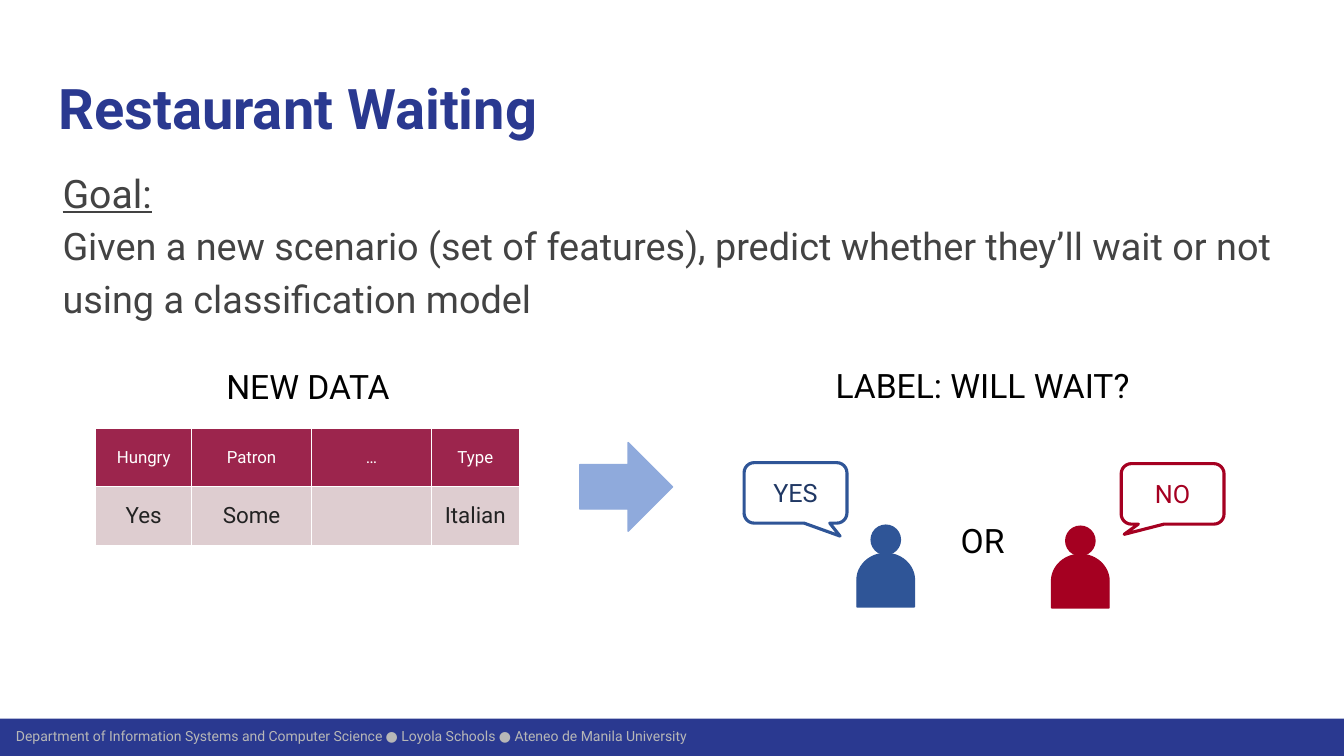
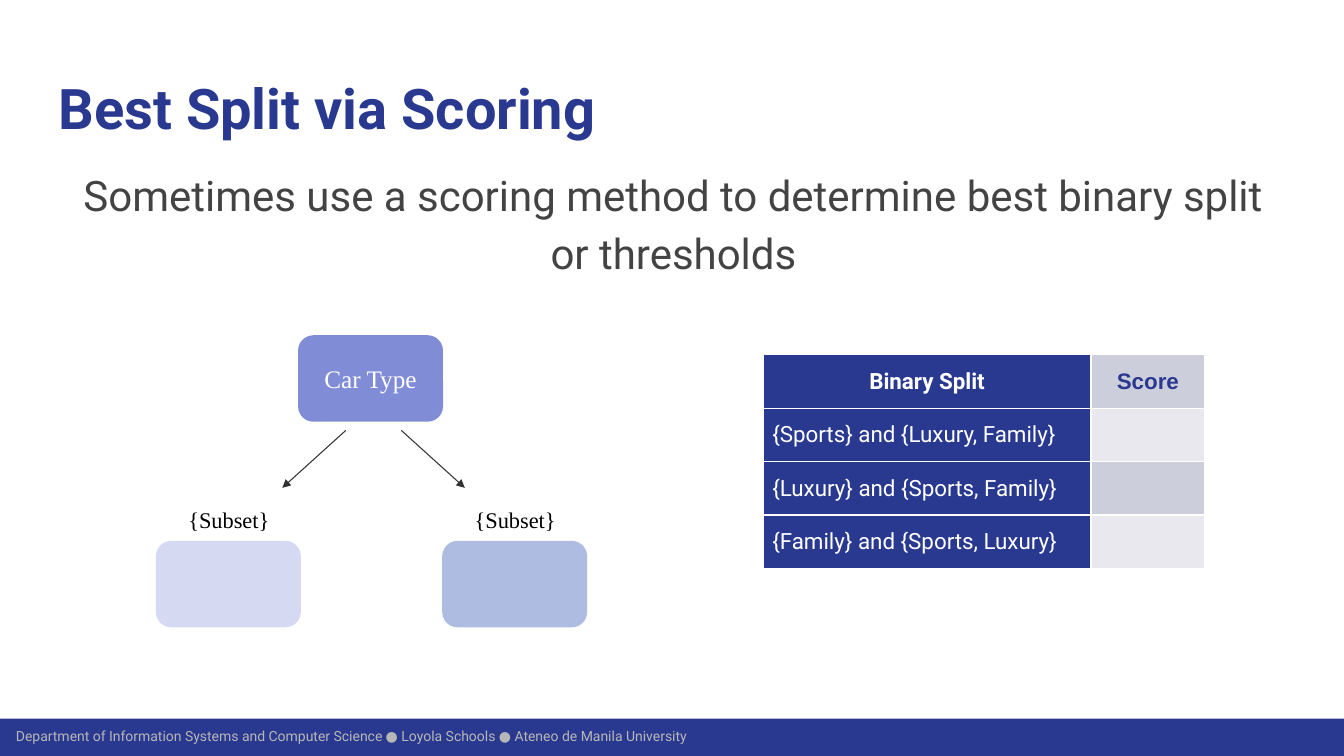
from dataclasses import dataclass
from typing import Any

from lxml import etree
from pptx import Presentation, util as u
from pptx.dml.color import RGBColor
from pptx.enum import shapes, text
from pptx.oxml import ns

NAVY = RGBColor(0x2A, 0x39, 0x90)
GREY = RGBColor(0x43, 0x43, 0x43)
SILVER = RGBColor(0xB7, 0xB7, 0xB7)
BLACK = RGBColor(0, 0, 0)
WHITE = RGBColor(0xFF, 0xFF, 0xFF)
WINE = RGBColor(0x9C, 0x25, 0x4D)
ROSE = RGBColor(0xDE, 0xCD, 0xD0)
INK = RGBColor(0x22, 0x22, 0x22)
SKY = RGBColor(0x8F, 0xAA, 0xDC)
BLUE = RGBColor(0x2F, 0x55, 0x97)
DEEP = RGBColor(0x20, 0x38, 0x64)
RED = RGBColor(0xA5, 0x00, 0x21)
IRIS = RGBColor(0x80, 0x8C, 0xD5)
LILAC = RGBColor(0xD5, 0xD9, 0xF1)
HAZE = RGBColor(0xAE, 0xBC, 0xE1)
COAL = RGBColor(0x32, 0x32, 0x32)
STONE = RGBColor(0xCD, 0xCE, 0xDB)
PALE = RGBColor(0xE8, 0xE8, 0xEE)

SANS, SERIF, PLAIN = "Roboto", "Times New Roman", "Arial"
FORM = shapes.MSO_SHAPE
LEFT, MID = text.PP_ALIGN.LEFT, text.PP_ALIGN.CENTER
TOP, HALF = text.MSO_ANCHOR.TOP, text.MSO_ANCHOR.MIDDLE
Box = tuple[float, float, float, float]


@dataclass
class Line:
    text: str
    size: float
    color: RGBColor
    face: str = SANS
    bold: bool = False
    under: bool = False
    align: Any = MID


@dataclass
class Cell:
    fill: RGBColor
    line: Line | None = None


@dataclass
class Guest:
    word: str
    ink: RGBColor
    color: RGBColor
    head: tuple[float, float]
    call: tuple[float, float]
    tip: tuple[float, float]


@dataclass
class Node:
    box: Box
    fill: RGBColor
    word: str = ""


def apply(thing: Any, vals: dict[str, Any]) -> None:
    for name, val in vals.items():
        setattr(thing, name, val)


def place(box: Box) -> tuple[u.Length, ...]:
    return tuple(u.Inches(n) for n in box)


def pad(thing: Any, side: float, edge: float) -> None:
    apply(thing, {"margin_left": u.Inches(side), "margin_right": u.Inches(side),
                  "margin_top": u.Inches(edge), "margin_bottom": u.Inches(edge)})


def write(frame: Any, lines: list[Line]) -> None:
    for num, line in enumerate(lines):
        para = frame.add_paragraph() if num else frame.paragraphs[0]
        para.alignment = line.align
        run = para.add_run()
        run.text = line.text
        apply(run.font, {"name": line.face, "size": u.Pt(line.size),
                         "bold": line.bold, "underline": line.under})
        run.font.color.rgb = line.color


def label(slide: Any, box: Box, line: Line, anchor: Any = TOP) -> Any:
    frame = slide.shapes.add_textbox(*place(box)).text_frame
    apply(frame, {"word_wrap": True, "vertical_anchor": anchor})
    write(frame, [line])
    return frame


def draw(home: Any, form: Any, box: Box, line: RGBColor, width: float = 1,
         fill: RGBColor | None = None) -> Any:
    shape = home.shapes.add_shape(form, *place(box))
    shape.shadow.inherit = False
    if fill is None:
        shape.fill.background()
    else:
        shape.fill.solid()
        shape.fill.fore_color.rgb = fill
    shape.line.color.rgb = line
    shape.line.width = u.Pt(width)
    return shape


def arrow(slide: Any, start: tuple[float, float], end: tuple[float, float]) -> None:
    link = slide.shapes.add_connector(shapes.MSO_CONNECTOR.STRAIGHT, *place(start + end))
    link.line.color.rgb = COAL
    link.line.width = u.Pt(0.75)
    props = link.element.spPr
    etree.SubElement(props.get_or_add_ln(), ns.qn("a:tailEnd"), type="triangle")
    etree.SubElement(props, ns.qn("a:effectLst"))


def rule(cell: Any) -> None:
    props = cell._tc.get_or_add_tcPr()
    for side in ("lnL", "lnR", "lnT", "lnB"):
        edge = etree.SubElement(props, ns.qn(f"a:{side}"), w=str(u.Pt(1)))
        fill = etree.SubElement(edge, ns.qn("a:solidFill"))
        etree.SubElement(fill, ns.qn("a:srgbClr"), val=str(WHITE))


def grid(slide: Any, spot: tuple[float, float], cols: list[float], tall: float,
         rows: list[list[Cell]]) -> None:
    box = (*spot, sum(cols), tall * len(rows))
    table = slide.shapes.add_table(len(rows), len(cols), *place(box)).table
    for col, wide in zip(table.columns, cols):
        col.width = u.Inches(wide)
    for y, row in enumerate(rows):
        table.rows[y].height = u.Inches(tall)
        for x, item in enumerate(row):
            cell = table.cell(y, x)
            rule(cell)
            cell.fill.solid()
            cell.fill.fore_color.rgb = item.fill
            cell.vertical_anchor = HALF
            pad(cell, 0.09, 0.04)
            if item.line:
                write(cell.text_frame, [item.line])


def setup(deck: Any) -> Any:
    layout = deck.slide_layouts[1]
    for holder, box in zip(layout.placeholders, ((0.45, 0.6, 12.42, 0.89),
                                                 (0.45, 1.48, 12.42, 1.47))):
        names = ("left", "top", "width", "height")
        apply(holder, dict(zip(names, place(box))))
    return layout


def brand(slide: Any, layout: Any) -> None:
    band = draw(slide, FORM.RECTANGLE, (0, 7.13, 13.33, 0.37), NAVY, fill=NAVY)
    band.line.fill.background()
    frame = label(slide, (0.06, 7.18, 10, 0.24), Line(
        "Department of Information Systems and Computer Science ● Loyola Schools "
        "● Ateneo de Manila University", 10, SILVER, align=LEFT), HALF)
    pad(frame, 0.1, 0.1)
    for shape in list(slide.shapes)[-2:]:
        layout.shapes.element.append(shape.element)


def begin(deck: Any, layout: Any, title: str, body: list[Line]) -> Any:
    slide = deck.slides.add_slide(layout)
    heads = [Line(title, 40, NAVY, bold=True, align=LEFT)]
    for holder, lines in zip(slide.placeholders, (heads, body)):
        frame = holder.text_frame
        apply(frame, {"word_wrap": True, "vertical_anchor": TOP,
                      "auto_size": text.MSO_AUTO_SIZE.NONE})
        pad(frame, 0.13, 0.13)
        write(frame, lines)
    for para in slide.placeholders[1].text_frame.paragraphs:
        props = para._p.get_or_add_pPr()
        props.set("marL", str(u.Inches(0.04)))
        props.set("indent", "0")
        etree.SubElement(props, ns.qn("a:buNone"))
        apply(para, {"line_spacing": 1.15, "space_before": u.Pt(0)})
    return slide


def seat(slide: Any, guest: Guest) -> None:
    x, y = guest.head
    group = slide.shapes.add_group_shape()
    draw(group, FORM.FLOWCHART_CONNECTOR, (x, y, 0.29, 0.29), guest.color, fill=guest.color)
    trunk = draw(group, FORM.FLOWCHART_DELAY, (x - 0.12, y + 0.26, 0.53, 0.57),
                 guest.color, fill=guest.color)
    trunk.rotation = 270
    call = draw(slide, FORM.ROUNDED_RECTANGULAR_CALLOUT, (*guest.call, 1.02, 0.6),
                guest.color, 2.25)
    for num, val in enumerate((*guest.tip, 0.167)):
        call.adjustments[num] = val
    call.text_frame.vertical_anchor = HALF
    write(call.text_frame, [Line(guest.word, 18, guest.ink)])


def waiting(deck: Any, layout: Any) -> Any:
    slide = begin(deck, layout, "Restaurant Waiting", [
        Line("Goal:", 28, GREY, under=True, align=LEFT),
        Line("Given a new scenario (set of features), predict whether they’ll wait or not",
             27, GREY, align=LEFT),
        Line("using a classification model", 27, GREY, align=LEFT)])
    heads = [Cell(WINE, Line(word, 12, WHITE)) for word in ("Hungry", "Patron", "…", "Type")]
    vals = [Cell(ROSE, Line(word, 16, INK) if word else None)
            for word in ("Yes", "Some", "", "Italian")]
    grid(slide, (0.95, 4.25), [0.95, 1.19, 1.19, 0.87], 0.58, [heads, vals])
    for word, box in (("NEW DATA", (0.95, 3.58, 4.21, 0.5)),
                      ("LABEL: WILL WAIT?", (7.64, 3.57, 4.21, 0.5)),
                      ("OR", (9.2, 5.11, 1.09, 0.5))):
        label(slide, box, Line(word, 24, BLACK))
    draw(slide, FORM.RIGHT_ARROW, (5.75, 4.39, 0.92, 0.88), SKY, fill=SKY)
    for guest in (Guest("YES", DEEP, BLUE, (8.64, 5.21), (7.38, 4.59), (0.433, 0.714)),
                  Guest("NO", RED, RED, (10.57, 5.22), (11.12, 4.6), (-0.471, 0.669))):
        seat(slide, guest)
    return slide


def scoring(deck: Any, layout: Any) -> None:
    slide = begin(deck, layout, "Best Split via Scoring", [
        Line("Sometimes use a scoring method to determine best binary split or thresholds",
             30, GREY)])
    wide, tall = 1.41, 0.83
    for node in (Node((2.97, 3.34, wide, tall), IRIS, "Car Type"),
                 Node((1.56, 5.38, wide, tall), LILAC),
                 Node((4.4, 5.38, wide, tall), HAZE)):
        shape = draw(slide, FORM.ROUNDED_RECTANGLE, node.box, node.fill, 2, node.fill)
        if node.word:
            shape.text_frame.vertical_anchor = HALF
            write(shape.text_frame, [Line(node.word, 18, WHITE, SERIF)])
    for start, end, left in ((3.43, 2.8, 1.35), (3.98, 4.61, 4.19)):
        arrow(slide, (start, 4.27), (end, 4.84))
        label(slide, (left, 4.97, 1.84, 0.37), Line("{Subset}", 16, BLACK, SERIF))
    rows = [[Cell(NAVY, Line("Binary Split", 16, WHITE, bold=True)),
             Cell(STONE, Line("Score", 16, NAVY, PLAIN, bold=True))]]
    for word, fill in (("{Sports} and {Luxury, Family}", PALE),
                       ("{Luxury} and {Sports, Family}", STONE),
                       ("{Family} and {Sports, Luxury}", PALE)):
        rows.append([Cell(NAVY, Line(word, 16, WHITE, align=LEFT)), Cell(fill)])
    grid(slide, (7.57, 3.52), [3.25, 1.13], 0.53, rows)


def main() -> None:
    deck = Presentation()
    apply(deck, {"slide_width": u.Inches(13.33), "slide_height": u.Inches(7.5)})
    layout = setup(deck)
    first = waiting(deck, layout)
    brand(first, layout)
    scoring(deck, layout)
    deck.save("out.pptx")


if __name__ == "__main__":
    main()
